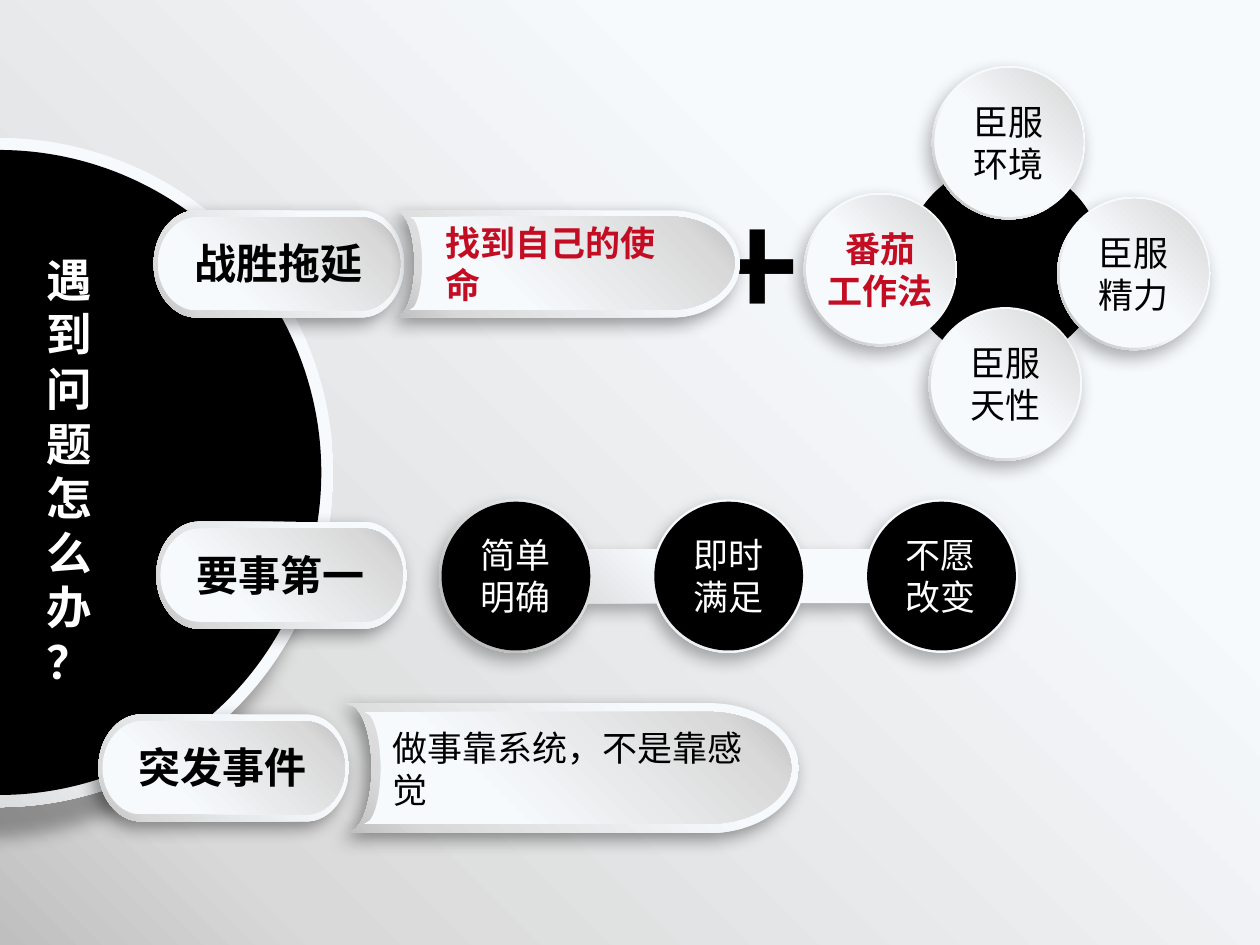
"""Builds a slide of three answers to the question of handling problems."""
from math import asin, cos, pi, sin, tan

from lxml import etree
from pptx import Presentation
from pptx.dml.color import RGBColor
from pptx.enum import shapes, text
from pptx.oxml.ns import qn
from pptx.util import Pt

THEME = {
    "font": "Noto Sans CJK SC",
    "black": "000000", "white": "FFFFFF", "red": "C30D23",
    "soft": [(28, "F7FAFD"), (85, "D9D9D9"), (100, "BFBFBF")],
    "rim": [(57, "F7FAFD"), (92, "BFBFBF"), (100, "A6A6A6")],
    "face": [(49, "F7FAFD"), (92, "D9D9D9"), (100, "BFBFBF")],
    "body": 20, "head": 24, "title": 26, "plus": 80,
}
DOWN, UP = 135, 315
LOW, DEEP, SIDE = (31, 10, 5, 120), (31, 10, 20, 120), (40, 10, 5, 135)

TITLE = "遇到问题怎么办？"
PILLS = [("战胜拖延", 87.8, 120.2), ("要事第一", 89.3, 298.1), ("突发事件", 56.2, 408.2)]
TABS = {
    "mission": dict(words="找到自己的使命", mid=(324.7, 150.4), color="red", bold=True,
                    outer=(226.1, 120.2, 196.9, 61.2, 38.9, -10.8),
                    inner=(234, 123.8, 185.8, 53.3, 36.7, -7.2)),
    "system": dict(words="做事靠系统，不是靠感觉", mid=(334.2, 438.9), color="black", bold=False,
                   outer=(198, 401.8, 258.5, 74.2, 51, -14.4),
                   inner=(208.1, 406.8, 244.1, 64, 47.5, -9.4)),
}
CHAIN = [("简单", "明确"), ("即时", "满足"), ("不愿", "改变")]
PETALS = [
    (("臣服", "天性"), 574.5, 219.4, "black", False),
    (("番茄", "工作法"), 503.1, 154, "red", True),
    (("臣服", "精力"), 648, 156.2, "black", False),
    (("臣服", "环境"), 576.4, 81.5, "black", False),
]
RIM, FACE = 43.9, 42.5

deck = Presentation()
deck.slide_width, deck.slide_height = Pt(720), Pt(540)
slide = deck.slides.add_slide(deck.slide_layouts[6])


def sub(node, tag, **attrs):
    return etree.SubElement(node, qn(tag), {k: str(v) for k, v in attrs.items()})


def blend(owner, fill, stops, angle):
    fill.gradient()
    fill.gradient_angle = 360 - angle
    ramp = owner.element.find(".//" + qn("a:gsLst"))
    ramp.clear()
    for place, color in stops:
        sub(sub(ramp, "a:gs", pos=place * 1000), "a:srgbClr", val=color)


def paint(shape, fill, angle=DOWN, shade=None):
    shape.line.fill.background()
    shape.shadow.inherit = False
    if isinstance(THEME[fill], list):
        blend(shape, shape.fill, THEME[fill], angle)
    else:
        shape.fill.solid()
        shape.fill.fore_color.rgb = RGBColor.from_string(THEME[fill])
    if shade:
        alpha, blur, dist, turn = shade
        glow = sub(shape.element.spPr.find(qn("a:effectLst")), "a:outerShdw",
                   blurRad=Pt(blur), dist=Pt(dist), dir=turn * 60000,
                   algn="ctr", rotWithShape=0)
        tint = sub(glow, "a:srgbClr", val=THEME["black"])
        sub(tint, "a:alpha", val=alpha * 1000)


def disc(mx, my, r, *look):
    oval = slide.shapes.add_shape(shapes.MSO_SHAPE.OVAL, Pt(mx - r), Pt(my - r),
                                  Pt(2 * r), Pt(2 * r))
    paint(oval, *look)


def arc(mx, my, rx, ry, *turns):
    def spot(t, pull=0):
        return (mx + rx * (cos(t) - pull * sin(t)), my - ry * (sin(t) + pull * cos(t)))
    steps = [[spot(turns[0])]]
    for a, b in zip(turns, turns[1:]):
        pull = 4 / 3 * tan((b - a) / 4)
        steps.append([spot(a, pull), spot(b, -pull), spot(b)])
    return steps


def trace(steps, *look):
    dots = [(Pt(x), Pt(y)) for step in steps for x, y in step]
    pen = slide.shapes.build_freeform(*dots[0], scale=1.0)
    pen.add_line_segments(dots[1:], close=True)
    shape = pen.convert_to_shape()
    lines = iter(shape.element.findall(".//" + qn("a:lnTo")))
    for step in steps[1:]:
        run = [next(lines) for _ in step]
        if len(run) == 3:
            curve = etree.Element(qn("a:cubicBezTo"))
            run[0].addprevious(curve)
            for line in run:
                curve.append(line[0])
                line.getparent().remove(line)
    paint(shape, *look)


def shell(box, *look):
    x, y, w, h, right, left = box
    my = y + h / 2
    steps = arc(x + w - right, my, right, h / 2, pi / 2, 0, -pi / 2)
    if left > 0:
        steps += arc(x + left, my, -left, h / 2, -pi / 2, 0, pi / 2)
    else:
        tip = pi / 2 - 0.35
        steps += [[(x, y + h)], *arc(x, my, -left, h / 2, -tip, 0, tip), [(x, y)]]
    trace(steps, *look)


def label(lines, mx, my, size, color="black", bold=False, center=False, wide=None):
    size = THEME[size]
    w = wide or size * max(map(len, lines)) + 14.4
    h = 1.2 * size * len(lines) + 7.2
    frame = slide.shapes.add_textbox(Pt(mx - w / 2), Pt(my - h / 2), Pt(w), Pt(h)).text_frame
    frame.word_wrap = False
    frame.auto_size = text.MSO_AUTO_SIZE.SHAPE_TO_FIT_TEXT
    frame.vertical_anchor = text.MSO_ANCHOR.MIDDLE
    for i, line in enumerate(lines):
        para = frame.add_paragraph() if i else frame.paragraphs[0]
        para.alignment = text.PP_ALIGN.CENTER if center else text.PP_ALIGN.LEFT
        if len(lines) > 1:
            para.line_spacing = Pt(1.2 * size)
        run = para.add_run()
        run.text = line
        font = run.font
        font.name, font.size, font.bold = THEME["font"], Pt(size), bold
        font.color.rgb = RGBColor.from_string(THEME[color])
        sub(run._r.get_or_add_rPr(), "a:ea", typeface=THEME["font"])


def tab(words, mid, color, bold, outer, inner):
    shell(outer, "soft", DOWN, SIDE)
    shell(inner, "soft", UP)
    label([words], *mid, "body", color, bold)


def chain(first, my, gap, half):
    mids = [first + gap * i for i in range(len(CHAIN))]
    bend = asin(half / RIM)
    ends = [(pi - bend if i else pi, bend if mx != mids[-1] else 0)
            for i, mx in enumerate(mids)]
    rows = list(zip(mids, ends))
    steps = []
    for mx, (a, b) in rows:
        steps += arc(mx, my, RIM, RIM, a, pi / 2, b)
    for mx, (a, b) in reversed(rows):
        steps += arc(mx, my, RIM, RIM, -b, -pi / 2, -a)
    trace(steps, "rim", DOWN, LOW)
    for lines, mx in zip(CHAIN, mids):
        disc(mx, my, FACE, "black")
        label(lines, mx - 0.3, my - 0.4, "body", "white")


blend(slide, slide.background.fill, THEME["soft"], DOWN)
disc(-0.7, 270, 191.2, "rim", DOWN, DEEP)
disc(-0.7, 270, 184.3, "black")
for words, x, y in PILLS:
    shell((x, y, 143.3, 61.2, 24.5, 24.5), "soft", DOWN, SIDE)
    shell((x + 2.4, y + 4, 138.5, 53.2, 22.3, 22.3), "soft", UP)
    label([words], x + 71.2, y + 30.2, "head", bold=True)
label(["+"], 440.6, 150.4, "plus", bold=True, wide=76.3)
tab(**TABS["system"])
label(TITLE, 39.6, 268.7, "title", "white", True)
tab(**TABS["mission"])
chain(294.8, 329.2, 121.6, 15.4)
disc(573.8, 150.1, 56.5, "black")
for lines, mx, my, color, bold in PETALS:
    disc(mx, my, RIM, "rim", DOWN, LOW)
    disc(mx, my, FACE, "face", UP)
    label(lines, mx, my - 0.2, "body", color, bold, center=True)
deck.save("out.pptx")
